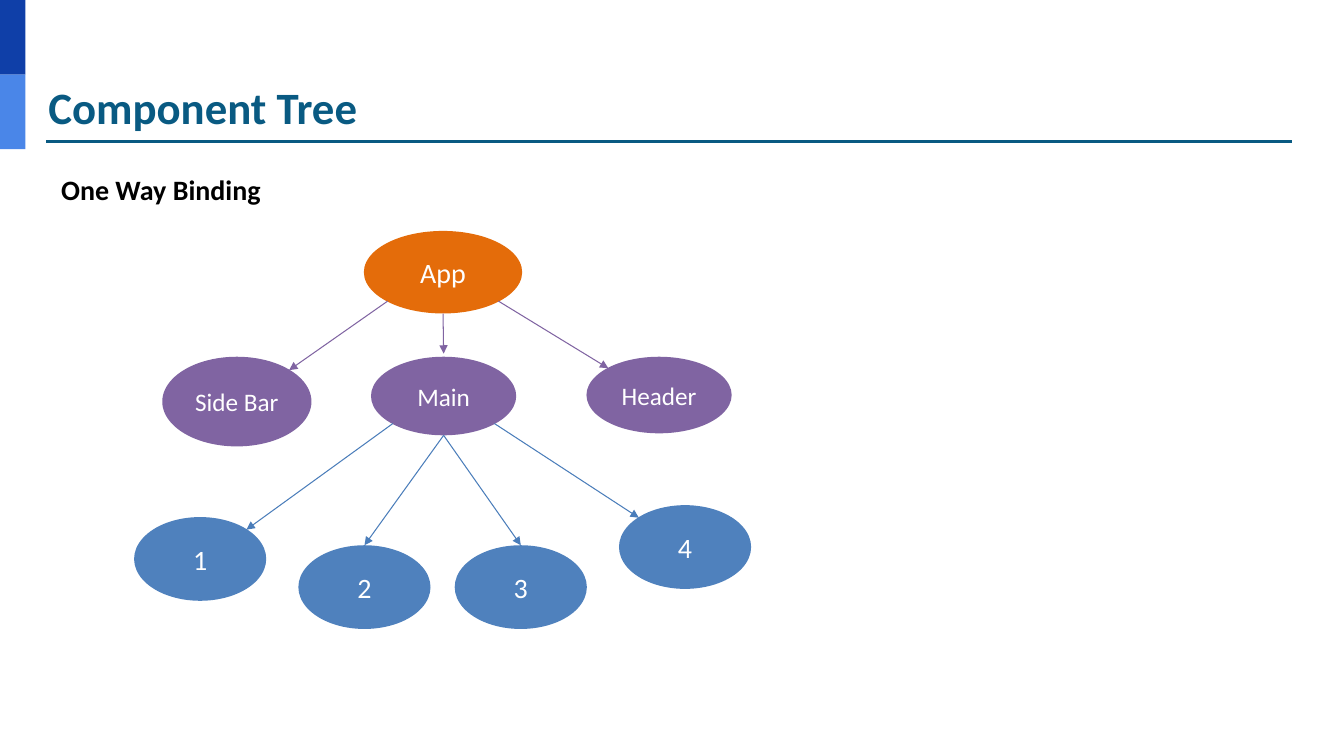
from pptx import Presentation
from pptx.dml.color import RGBColor
from pptx.enum.shapes import MSO_CONNECTOR as Connector, MSO_SHAPE as Shape
from pptx.enum.text import MSO_ANCHOR as Anchor, PP_ALIGN as Align
from pptx.oxml.ns import qn
from pptx.util import Cm, Pt
from lxml.etree import SubElement

TEAL = "095A82"
PURPLE = "8064A2"
BLUE = "4F81BD"
LINE_BLUE = "4A7DBA"
NEAR, MIDDLE, FAR = 0.15, 0.5, 0.85


def color(hex_value):
    return RGBColor.from_string(hex_value)


def write_text(shape, text, size, fill="FFFFFF", bold=False, align=Align.LEFT,
               anchor=Anchor.TOP, insets=(0.25, 0.13), indent=0, spacing=None):
    frame = shape.text_frame
    frame.word_wrap = True
    frame.vertical_anchor = anchor
    frame.margin_left = frame.margin_right = Cm(insets[0])
    frame.margin_top = frame.margin_bottom = Cm(insets[1])
    paragraph = frame.paragraphs[0]
    paragraph.alignment = align
    paragraph.line_spacing = spacing
    if indent:
        paragraph._p.get_or_add_pPr().set("marL", str(Cm(indent)))
    run = paragraph.add_run()
    run.text = text
    run.font.name = "Calibri"
    run.font.size = Pt(size)
    run.font.bold = bold
    run.font.color.rgb = color(fill)


def add_text(slide, left, top, width, height, text, **text_format):
    box = slide.shapes.add_textbox(Cm(left), Cm(top), Cm(width), Cm(height))
    write_text(box, text, **text_format)


def add_shape(slide, kind, left, top, width, height, fill):
    shape = slide.shapes.add_shape(kind, Cm(left), Cm(top), Cm(width), Cm(height))
    shape.shadow.inherit = False
    shape.fill.solid()
    shape.fill.fore_color.rgb = color(fill)
    shape.line.fill.background()
    return shape


def add_node(slide, text, left, top, width, height, fill, size):
    node = add_shape(slide, Shape.OVAL, left, top, width, height, fill)
    write_text(node, text, size=size, align=Align.CENTER, anchor=Anchor.MIDDLE)
    return node


def add_line(slide, start, end, stroke, width, arrow=False):
    line = slide.shapes.add_connector(Connector.STRAIGHT, *start, *end)
    line.line.color.rgb = color(stroke)
    line.line.width = Pt(width)
    if arrow:
        SubElement(line.line._get_or_add_ln(), qn("a:tailEnd"), type="triangle")
    SubElement(line._element.spPr, qn("a:effectLst"))


def point_on(node, across, down):
    return (node.left + int(node.width * across),
            node.top + int(node.height * down))


def add_branch(slide, parent, exit_site, child, entry_site, stroke):
    add_line(slide, point_on(parent, *exit_site), point_on(child, *entry_site),
             stroke, 0.75, arrow=True)


def add_header(slide):
    for row, fill in enumerate(("0F3FA8", "4A86E8")):
        add_shape(slide, Shape.RECTANGLE, 0, row * 1.88, 0.64, 1.88, fill)
    add_line(slide, (Cm(1.17), Cm(3.56)), (Cm(32.56), Cm(3.56)), TEAL, 2.25)
    add_text(slide, 1.17, 1.96, 31.39, 1.37, "Component Tree",
             size=32, fill=TEAL, bold=True, insets=(0.05, 0.05))
    add_text(slide, 0.99, 3.96, 31.57, 1.5, "One Way Binding",
             size=20, fill="000000", bold=True, insets=(0.25, 0.25),
             indent=0.3, spacing=1.15)


def add_tree(slide):
    app = add_node(slide, "App", 9.17, 5.82, 3.99, 2.08, "E46C0A", 20)
    main_node = add_node(slide, "Main", 9.35, 8.99, 3.66, 1.98, PURPLE, 18)
    side_bar = add_node(slide, "Side Bar", 4.09, 8.99, 3.76, 2.26, PURPLE, 18)
    header = add_node(slide, "Header", 14.78, 8.99, 3.66, 1.93, PURPLE, 18)
    add_branch(slide, app, (MIDDLE, 1), main_node, (MIDDLE, -0.04), PURPLE)
    add_branch(slide, app, (NEAR, FAR), side_bar, (FAR, NEAR), PURPLE)
    add_branch(slide, app, (FAR, FAR), header, (NEAR, NEAR), PURPLE)

    leaves = [
        (3.38, 13.03, (NEAR, FAR), (FAR, NEAR)),
        (7.52, 13.74, (MIDDLE, 1), (MIDDLE, 0)),
        (11.46, 13.74, (MIDDLE, 1), (MIDDLE, 0)),
        (15.6, 12.73, (FAR, FAR), (NEAR, NEAR)),
    ]
    for number, (left, top, exit_site, entry_site) in enumerate(leaves, 1):
        leaf = add_node(slide, str(number), left, top, 3.33, 2.11, BLUE, 20)
        add_branch(slide, main_node, exit_site, leaf, entry_site, LINE_BLUE)


def main():
    presentation = Presentation()
    presentation.slide_width = Cm(33.87)
    presentation.slide_height = Cm(19.05)
    slide = presentation.slides.add_slide(presentation.slide_layouts[6])
    add_header(slide)
    add_tree(slide)
    presentation.save("out.pptx")


if __name__ == "__main__":
    main()
